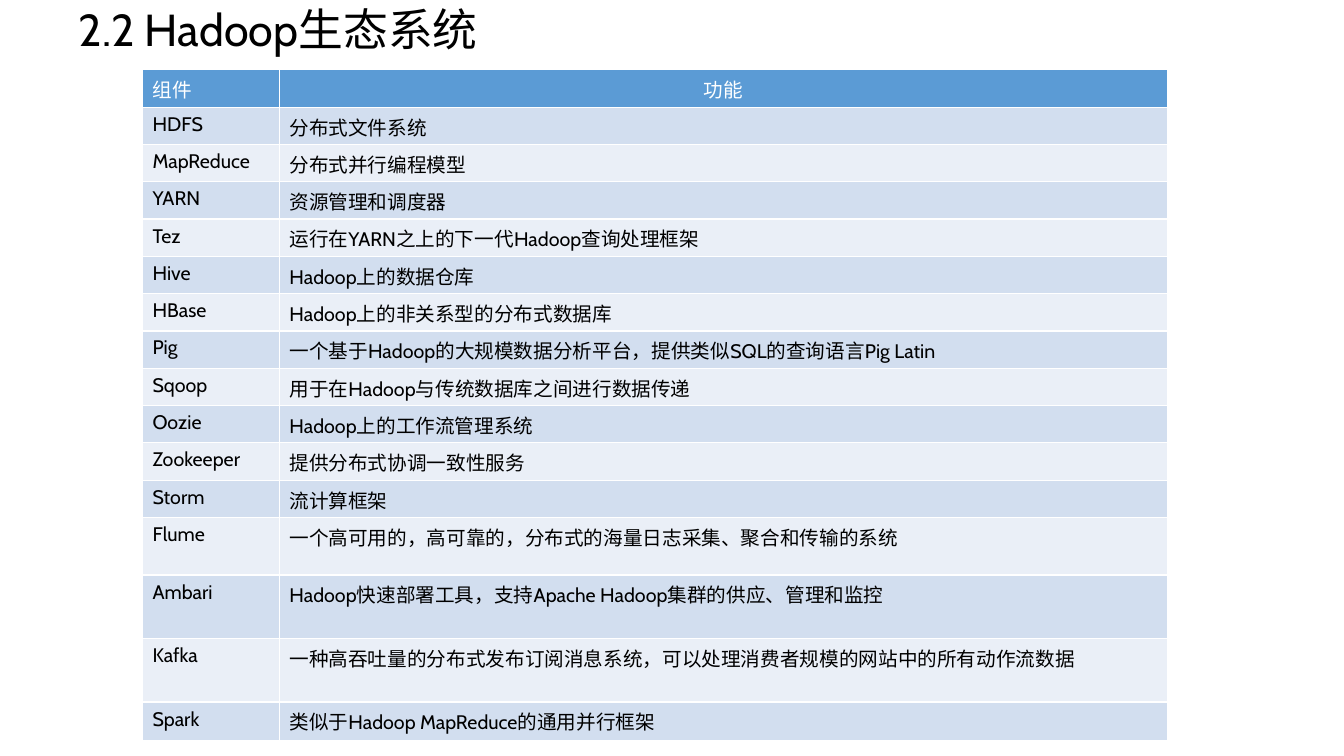
from lxml import etree
from pptx import Presentation
from pptx.dml.color import RGBColor
from pptx.enum.text import MSO_ANCHOR, PP_ALIGN
from pptx.oxml.ns import qn
from pptx.util import Cm, Pt

LEFT = PP_ALIGN.LEFT
CENTER = PP_ALIGN.CENTER
TOP = MSO_ANCHOR.TOP

FONT = "Cabin"
BLACK = "000000"
WHITE = "FFFFFF"
HEADER_BLUE = "5B9BD5"
BANDS = ("D2DEEF", "EAEFF7")

COLUMN_WIDTHS = (3.45, 22.38)
ROW_HEIGHT = 0.94
TALL_ROWS = {"Flume": 1.45, "Ambari": 1.6, "Kafka": 1.6, "Spark": 0.97}

COMPONENTS = [
    ("组件", "功能"),
    ("HDFS", "分布式文件系统"),
    ("MapReduce", "分布式并行编程模型"),
    ("YARN", "资源管理和调度器"),
    ("Tez", "运行在YARN之上的下一代Hadoop查询处理框架"),
    ("Hive", "Hadoop上的数据仓库"),
    ("HBase", "Hadoop上的非关系型的分布式数据库"),
    ("Pig", "一个基于Hadoop的大规模数据分析平台，提供类似SQL的查询语言Pig Latin"),
    ("Sqoop", "用于在Hadoop与传统数据库之间进行数据传递"),
    ("Oozie", "Hadoop上的工作流管理系统"),
    ("Zookeeper", "提供分布式协调一致性服务"),
    ("Storm", "流计算框架"),
    ("Flume", "一个高可用的，高可靠的，分布式的海量日志采集、聚合和传输的系统"),
    ("Ambari", "Hadoop快速部署工具，支持Apache Hadoop集群的供应、管理和监控"),
    ("Kafka", "一种高吞吐量的分布式发布订阅消息系统，可以处理消费者规模的网站中的所有动作流数据"),
    ("Spark", "类似于Hadoop MapReduce的通用并行框架"),
]


def rgb(hex_color):
    return RGBColor.from_string(hex_color)


def write_text(frame, text, size=14, color=BLACK, align=LEFT, spacing=1.0):
    paragraph = frame.paragraphs[0]
    paragraph.alignment = align
    paragraph.line_spacing = spacing
    run = paragraph.add_run()
    run.text = text
    run.font.name = FONT
    run.font.size = Pt(size)
    run.font.bold = False
    run.font.color.rgb = rgb(color)


def add_title(slide, text):
    title = slide.shapes.add_textbox(Cm(1.98), Cm(0.2), Cm(29.64), Cm(2.54))
    frame = title.text_frame
    frame.word_wrap = True
    frame.vertical_anchor = TOP
    frame.margin_left = frame.margin_right = 0
    frame.margin_top = frame.margin_bottom = 0
    write_text(frame, text, size=32, spacing=0.9)


def add_borders(cell, color=WHITE, width=1):
    properties = cell._tc.get_or_add_tcPr()
    for side in ("a:lnL", "a:lnR", "a:lnT", "a:lnB"):
        line = etree.SubElement(properties, qn(side), w=str(Pt(width)))
        fill = etree.SubElement(line, qn("a:solidFill"))
        etree.SubElement(fill, qn("a:srgbClr"), val=color)


def format_cell(cell, text, background, **text_format):
    add_borders(cell)
    cell.fill.solid()
    cell.fill.fore_color.rgb = rgb(background)
    write_text(cell.text_frame, text, **text_format)


def add_component_table(slide, components):
    heights = [TALL_ROWS.get(name, ROW_HEIGHT) for name, _ in components]
    table = slide.shapes.add_table(
        len(components), len(COLUMN_WIDTHS), Cm(3.59), Cm(1.76),
        Cm(sum(COLUMN_WIDTHS)), Cm(sum(heights)),
    ).table
    for column, width in zip(table.columns, COLUMN_WIDTHS):
        column.width = Cm(width)
    for row, height in zip(table.rows, heights):
        row.height = Cm(height)

    name_heading, function_heading = components[0]
    format_cell(table.cell(0, 0), name_heading, HEADER_BLUE, color=WHITE)
    format_cell(table.cell(0, 1), function_heading, HEADER_BLUE,
                color=WHITE, align=CENTER)
    for row_index, component in enumerate(components[1:], start=1):
        band = BANDS[(row_index - 1) % 2]
        for column_index, text in enumerate(component):
            format_cell(table.cell(row_index, column_index), text, band)


def main():
    presentation = Presentation()
    presentation.slide_width = Cm(33.87)
    presentation.slide_height = Cm(19.05)
    slide = presentation.slides.add_slide(presentation.slide_layouts[6])
    add_title(slide, "2.2 Hadoop生态系统")
    add_component_table(slide, COMPONENTS)
    presentation.save("out.pptx")


if __name__ == "__main__":
    main()
